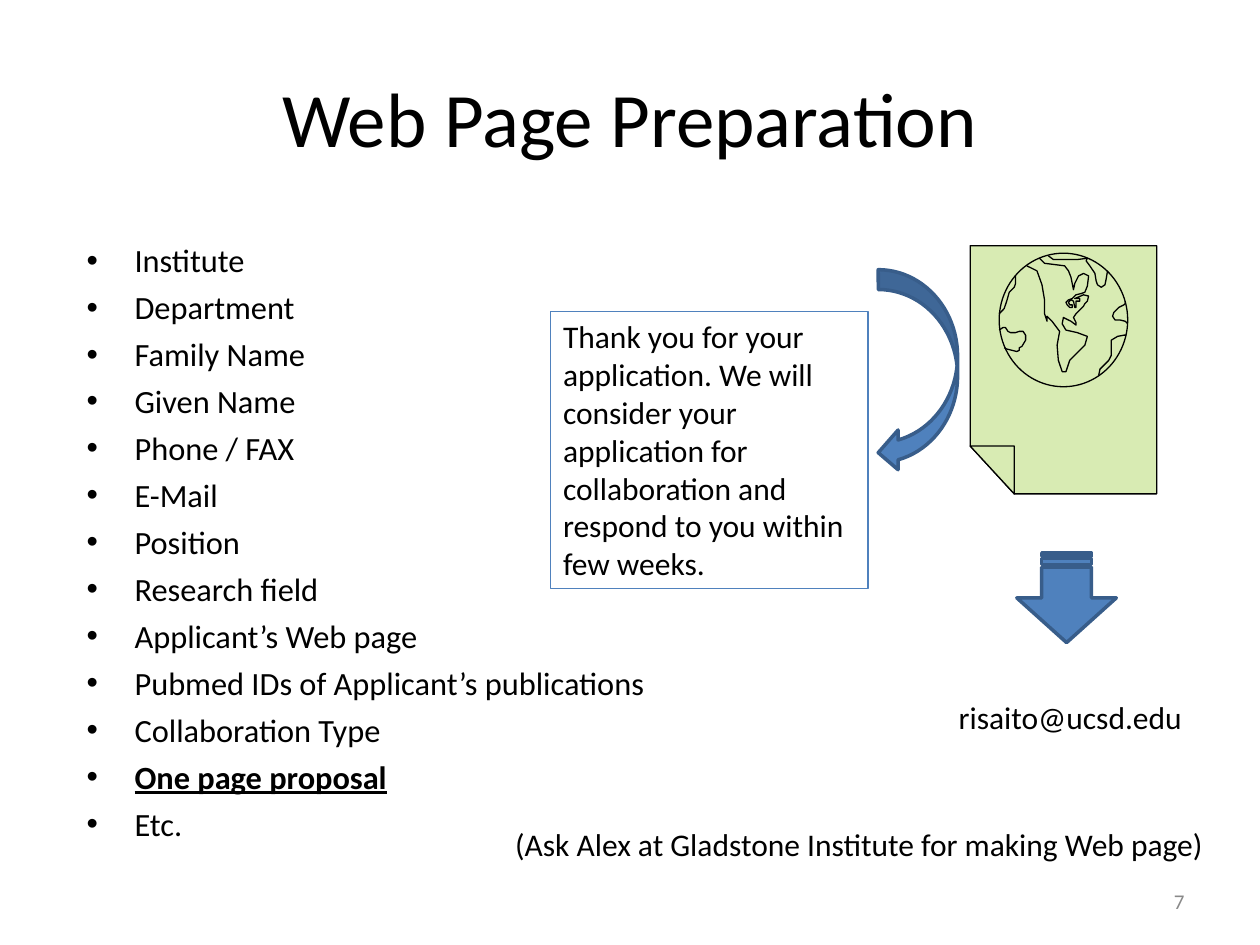
from lxml import etree
from pptx import Presentation
from pptx.dml.color import RGBColor
from pptx.enum.shapes import MSO_SHAPE as SHAPE
from pptx.enum.text import MSO_ANCHOR as ANCHOR, MSO_AUTO_SIZE as AUTO, PP_ALIGN as ALIGN
from pptx.oxml.ns import qn
from pptx.util import Pt

PX = 9144

prs = Presentation()
prs.slide_width, prs.slide_height = 1000 * PX, 750 * PX
s = prs.slides.add_slide(prs.slide_layouts[6])


def paint(sp, fill, line, weight):
    sp.shadow.inherit = False
    if fill:
        sp.fill.solid()
        sp.fill.fore_color.rgb = RGBColor.from_string(fill)
    else:
        sp.fill.background()
    sp.line.color.rgb = RGBColor.from_string(line)
    sp.line.width = Pt(weight)


def add_text(box, lines, size, color="000000", align=ALIGN.LEFT, anchor=ANCHOR.TOP,
             wrap=True, grow=False, bullet=False):
    sp = s.shapes.add_textbox(*[v * PX for v in box])
    tf = sp.text_frame
    tf.text = "\n".join(lines)
    tf.word_wrap = wrap
    tf.auto_size = AUTO.SHAPE_TO_FIT_TEXT if grow else AUTO.NONE
    tf.vertical_anchor = anchor
    for i, p in enumerate(tf.paragraphs):
        p.alignment = align
        if bullet:
            pPr = p._p.get_or_add_pPr()
            pPr.set("marL", str(38 * PX))
            pPr.set("indent", str(-38 * PX))
            etree.SubElement(pPr, qn("a:buFont")).set("typeface", "Arial")
            etree.SubElement(pPr, qn("a:buChar")).set("char", "•")
            if i:
                p.space_before = Pt(4.6)
        for r in p.runs:
            r.font.name = "Calibri"
            r.font.size = Pt(size)
            r.font.color.rgb = RGBColor.from_string(color)
    return sp


add_text((50, 30, 900, 125), ["Web Page Preparation"], 44,
         align=ALIGN.CENTER, anchor=ANCHOR.MIDDLE)

fields = ["Institute", "Department", "Family Name", "Given Name", "Phone / FAX",
          "E-Mail", "Position", "Research field", "Applicant’s Web page",
          "Pubmed IDs of Applicant’s publications", "Collaboration Type",
          "One page proposal", "Etc."]
body = add_text((59, 186, 900, 495), fields, 18.5, bullet=True)
proposal = body.text_frame.paragraphs[fields.index("One page proposal")].runs[0]
proposal.font.bold = proposal.font.underline = True

page = [(770, 195), (918, 195), (918, 392), (805, 392), (770, 354)]
fold = [(770, 354), (805, 354), (805, 392)]
for outline in (page, fold):
    fb = s.shapes.build_freeform(*outline[0], scale=PX)
    fb.add_line_segments(outline[1:], close=True)
    paint(fb.convert_to_shape(), "D8EBB3", "000000", 0.75)

globe = s.shapes.add_shape(SHAPE.OVAL, 793 * PX, 201 * PX, 102 * PX, 106 * PX)
paint(globe, "D8EBB3", "000000", 0.75)

coasts = [
    [(832, 203), (836, 206), (855, 206), (863, 205), (862, 207), (865, 211), (869, 217),
     (870, 223), (871, 226), (874, 228), (877, 226), (878, 221), (879, 215)],
    [(793, 249), (797, 245), (799, 239), (801, 232), (805, 228), (806, 225), (806, 219)],
    [(793, 262), (796, 260), (798, 260), (800, 263), (802, 264), (806, 264), (809, 263),
     (812, 263), (814, 266), (814, 270), (811, 275), (809, 276), (809, 278), (807, 279),
     (803, 278), (799, 277), (797, 276)],
    [(872, 298), (873, 293), (880, 286), (882, 282), (882, 270), (887, 267), (892, 266),
     (894, 266)],
    [(895, 257), (893, 255), (889, 254), (885, 254), (883, 251), (884, 248), (888, 244),
     (892, 242), (893, 241), (893, 239)],
    [(825, 205), (829, 209), (837, 210), (845, 211), (848, 215), (850, 220), (852, 230),
     (853, 225), (856, 219), (860, 217), (864, 219), (863, 227), (861, 232), (858, 233),
     (854, 234), (851, 237), (848, 238), (846, 240), (847, 242), (849, 244), (851, 244),
     (851, 242), (849, 242), (848, 240), (850, 238), (852, 239), (853, 244), (854, 244),
     (854, 239), (857, 239), (857, 237), (853, 237), (860, 234), (864, 235), (863, 239),
     (861, 241), (860, 243), (856, 247), (854, 249), (852, 252), (854, 256), (854, 258),
     (850, 255), (846, 253), (844, 252), (843, 257), (846, 262), (855, 264), (863, 267),
     (861, 274), (855, 280), (849, 286), (846, 295), (843, 295), (840, 286), (839, 274),
     (841, 263), (835, 255), (831, 251), (831, 255), (829, 249), (829, 238), (827, 226),
     (823, 215), (815, 211)],
]
fb = s.shapes.build_freeform(*coasts[0][0], scale=PX)
for i, coast in enumerate(coasts):
    if i:
        fb.move_to(*coast[0])
    fb.add_line_segments(coast[1:], close=False)
paint(fb.convert_to_shape(), None, "000000", 0.75)

for kind, box in ((SHAPE.STRIPED_RIGHT_ARROW, (811, 435, 71, 79)),
                  (SHAPE.CURVED_DOWN_ARROW, (648, 263, 161, 63))):
    arrow = s.shapes.add_shape(kind, *[v * PX for v in box])
    arrow.rotation = 90
    paint(arrow, "4F81BD", "385D8A", 2)

add_text((751, 549, 197, 40), ["risaito@ucsd.edu"], 18, wrap=False, grow=True)
reply = add_text((437, 247, 252, 220),
                 ["Thank you for your application. We will consider your application "
                  "for collaboration and respond to you within few weeks."], 18, grow=True)
paint(reply, None, "4F81BD", 0.75)
add_text((717, 695, 233, 40), ["7"], 12, "898989", ALIGN.RIGHT, ANCHOR.MIDDLE)
add_text((399, 650, 569, 40), ["(Ask Alex at Gladstone Institute for making Web page)"], 18,
         wrap=False, grow=True)

prs.save("out.pptx")
